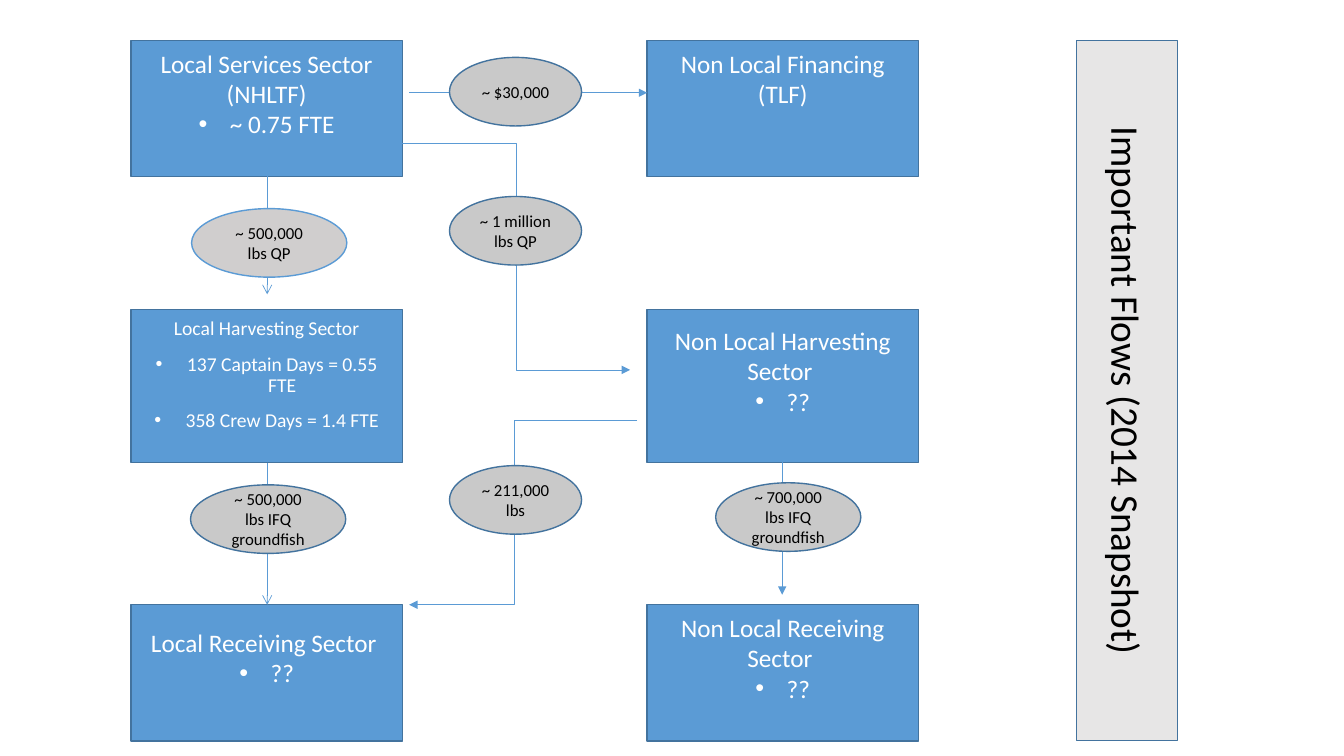
from dataclasses import dataclass

from lxml.etree import SubElement
from pptx import Presentation
from pptx.dml.color import RGBColor
from pptx.enum.shapes import MSO_CONNECTOR as Link, MSO_SHAPE as Form
from pptx.enum.text import MSO_ANCHOR as Anchor, PP_ALIGN as Align
from pptx.oxml.ns import qn
from pptx.util import Inches, Pt

WIDTH, HEIGHT = Inches(13.33), Inches(7.5)
FONT = "Calibri"
BLUE, EDGE, GREY, PALE, TITLE = "5B9BD5", "43739E", "C9C9C9", "D0CECE", "E7E6E6"
WHITE, BLACK = "FFFFFF", "000000"

# All places and sizes are percentages of the slide's width and height.
LOCAL, NON_LOCAL, SECTOR_WIDTH = 9.75, 48.15, 20.18
TOP, MIDDLE, BOTTOM = (5.33, 18), (40.93, 20.27), (80, 18)
LOCAL_AXIS, GAP_AXIS, NON_LOCAL_AXIS = 19.88, 38.36, 58.2
OVAL_HEIGHT = 9.07


@dataclass
class Sector:
    left: float
    row: tuple[float, float]
    title: str
    bullets: tuple[str, ...] = ()
    space_below: float = 0.3  # inches
    size: int = 18
    loose: bool = False


@dataclass
class Flow:
    start: tuple[float, float]
    end: tuple[float, float]
    head: str
    label: str
    center: tuple[float, float]
    width: float = 9.83
    bend: int | None = None  # thousandths of a percent along the run
    fill: str = GREY
    edge: str = EDGE


SECTORS = [
    Sector(LOCAL, TOP, "Local Services Sector (NHLTF)", ("~ 0.75 FTE",)),
    Sector(LOCAL, MIDDLE, "Local Harvesting Sector",
           ("137 Captain Days = 0.55 FTE", "358 Crew Days = 1.4 FTE"),
           space_below=0.21, size=14, loose=True),
    Sector(LOCAL, BOTTOM, "Local Receiving Sector ", ("??",)),
    Sector(NON_LOCAL, TOP, "Non Local Financing (TLF)", space_below=0.6),
    Sector(NON_LOCAL, MIDDLE, "Non Local Harvesting Sector ", ("??",)),
    Sector(NON_LOCAL, BOTTOM, "Non Local Receiving Sector ", ("??",)),
]
FLOWS = [
    Flow((LOCAL_AXIS, 23.33), (LOCAL_AXIS, 38.93), "arrow",
         "~ 500,000 lbs QP", (20.03, 32.13), 11.55, fill=PALE, edge=BLUE),
    Flow((30.45, 12.27), (NON_LOCAL, 12.27), "triangle",
         "~ $30,000", (GAP_AXIS, 12.13)),
    Flow((29.93, 18.93), (46.88, 48.93), "triangle",
         "~ 1 million lbs QP", (GAP_AXIS, 30.53), bend=50000),
    Flow((47.4, 55.6), (30.45, 80), "triangle",
         "~ 211,000 lbs", (GAP_AXIS, 66.13), bend=54000),
    Flow((NON_LOCAL_AXIS, 60.13), (NON_LOCAL_AXIS, 78.67), "triangle",
         "~ 700,000 lbs IFQ groundfish", (58.65, 68.4), 10.8),
    Flow((LOCAL_AXIS, 61.2), (LOCAL_AXIS, 80), "arrow",
         "~ 500,000 lbs IFQ groundfish", (19.95, 68.67), 11.55),
]


def across(share: float) -> int:
    return round(WIDTH * share / 100)


def down(share: float) -> int:
    return round(HEIGHT * share / 100)


def color(value: str) -> RGBColor:
    return RGBColor.from_string(value)


def add_box(page, form, left: float, top: float, width: float, height: float,
            text: str, size: int, ink: str, fill: str, edge: str = EDGE):
    box = page.shapes.add_shape(form, across(left), down(top), across(width), down(height))
    box.shadow.inherit = False
    box.fill.solid()
    box.fill.fore_color.rgb = color(fill)
    box.line.color.rgb = color(edge)
    box.line.width = Pt(1)
    frame = box.text_frame
    frame.word_wrap = True
    frame.vertical_anchor = Anchor.MIDDLE
    frame.text = text
    for para in frame.paragraphs:
        para.alignment = Align.CENTER
        for span in para.runs:
            span.font.name, span.font.size = FONT, Pt(size)
            span.font.color.rgb = color(ink)
    return box


def add_bullet(para) -> None:
    props = para._p.get_or_add_pPr()
    props.set("marL", str(Inches(0.31)))
    props.set("indent", str(-Inches(0.31)))
    SubElement(props, qn("a:buFont")).set("typeface", "Arial")
    SubElement(props, qn("a:buChar")).set("char", "•")


def add_sector(page, sector: Sector) -> None:
    text = "\n".join((sector.title, *sector.bullets))
    box = add_box(page, Form.RECTANGLE, sector.left, sector.row[0], SECTOR_WIDTH,
                  sector.row[1], text, sector.size, WHITE, BLUE)
    frame = box.text_frame
    frame.margin_bottom = Inches(0.05 + sector.space_below)
    for para in frame.paragraphs[1:]:
        add_bullet(para)
    if sector.loose:
        for para in frame.paragraphs:
            para.line_spacing, para.space_before = 0.9, Pt(10)


def add_flow(page, flow: Flow) -> None:
    """Draw the arrow and the oval that names its amount."""
    kind = Link.STRAIGHT if flow.bend is None else Link.ELBOW
    arrow = page.shapes.add_connector(kind, across(flow.start[0]), down(flow.start[1]),
                                      across(flow.end[0]), down(flow.end[1]))
    arrow.line.color.rgb = color(BLUE)
    arrow.line.width = Pt(0.5)
    SubElement(arrow.line._get_or_add_ln(), qn("a:tailEnd")).set("type", flow.head)
    props = arrow._element.spPr
    SubElement(props, qn("a:effectLst"))
    if flow.bend is not None:
        guide = SubElement(props.find(f"{qn('a:prstGeom')}/{qn('a:avLst')}"), qn("a:gd"))
        guide.set("name", "adj1")
        guide.set("fmla", f"val {flow.bend}")
    add_box(page, Form.OVAL, flow.center[0] - flow.width / 2,
            flow.center[1] - OVAL_HEIGHT / 2, flow.width, OVAL_HEIGHT,
            flow.label, 12, BLACK, flow.fill, flow.edge)


def main() -> None:
    deck = Presentation()
    deck.slide_width, deck.slide_height = WIDTH, HEIGHT
    page = deck.slides.add_slide(deck.slide_layouts[6])
    for sector in SECTORS:
        add_sector(page, sector)
    for flow in FLOWS:
        add_flow(page, flow)
    banner = add_box(page, Form.RECTANGLE, 80.1, TOP[0], 7.5, 92.67,
                     "Important Flows (2014 Snapshot)", 28, BLACK, TITLE)
    banner.text_frame._txBody.bodyPr.set("vert", "vert")
    deck.save("out.pptx")


if __name__ == "__main__":
    main()
